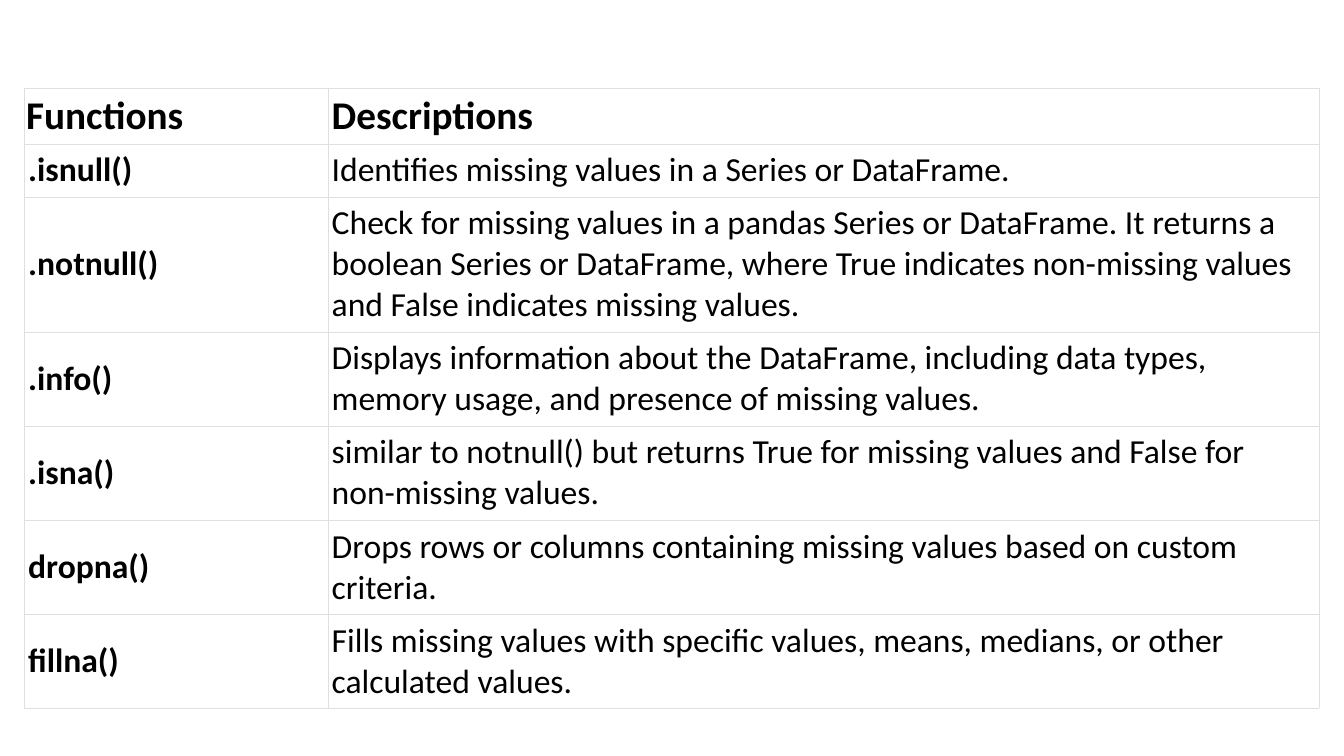
import dataclasses

import lxml.etree
import pptx
import pptx.dml.color
import pptx.enum.text
import pptx.oxml.ns
import pptx.util

PX = 9144  # 100 px to the inch


@dataclasses.dataclass(frozen=True)
class Theme:
    font: str = "Calibri"
    ink: str = "000000"
    paper: str = "FFFFFF"
    rule: str = "DFDFDF"
    rule_pt: float = 0.15
    head_pt: int = 28
    body_pt: int = 24


THEME = Theme()
LEFT, TOP = 24, 87
WIDTHS = [301, 983]
HEIGHTS = [52, 48, 124, 86, 86, 86, 86]
ROWS = [
    ("Functions", "Descriptions"),
    (".isnull()", "Identifies missing values in a Series or DataFrame."),
    (".notnull()", "Check for missing values in a pandas Series or DataFrame. "
     "It returns a boolean Series or DataFrame, where True indicates "
     "non-missing values and False indicates missing values."),
    (".info()", "Displays information about the DataFrame, including data "
     "types, memory usage, and presence of missing values."),
    (".isna()", "similar to notnull() but returns True for missing values "
     "and False for non-missing values."),
    ("dropna()", "Drops rows or columns containing missing values based on "
     "custom criteria."),
    ("fillna()", "Fills missing values with specific values, means, medians, "
     "or other calculated values."),
]


def px(count):
    return pptx.util.Emu(count * PX)


def color(code):
    return pptx.dml.color.RGBColor.from_string(code)


def add_rules(cell):
    """Draw a thin line on all four sides; call before the cell is filled."""
    props = cell._tc.get_or_add_tcPr()
    qn = pptx.oxml.ns.qn
    for side in "LRTB":
        line = lxml.etree.SubElement(props, qn(f"a:ln{side}"))
        line.set("w", str(pptx.util.Pt(THEME.rule_pt)))
        fill = lxml.etree.SubElement(line, qn("a:solidFill"))
        lxml.etree.SubElement(fill, qn("a:srgbClr")).set("val", THEME.rule)


def set_cell(cell, text, size, bold, side, edge):
    """Fill in one cell; side and edge are its margins in px."""
    add_rules(cell)
    cell.fill.solid()
    cell.fill.fore_color.rgb = color(THEME.paper)
    cell.vertical_anchor = pptx.enum.text.MSO_ANCHOR.MIDDLE
    cell.margin_left = cell.margin_right = px(side)
    cell.margin_top = cell.margin_bottom = px(edge)
    cell.text_frame.text = text
    font = cell.text_frame.paragraphs[0].runs[0].font
    font.name = THEME.font
    font.size = pptx.util.Pt(size)
    font.bold = bold
    font.color.rgb = color(THEME.ink)


def add_grid(slide):
    frame = slide.shapes.add_table(
        len(ROWS), len(WIDTHS), px(LEFT), px(TOP),
        px(sum(WIDTHS)), px(sum(HEIGHTS)))
    table = frame.table
    table.horz_banding = False
    for column, width in zip(table.columns, WIDTHS):
        column.width = px(width)
    for r, (texts, height) in enumerate(zip(ROWS, HEIGHTS)):
        table.rows[r].height = px(height)
        head = r == 0
        for c, text in enumerate(texts):
            set_cell(
                table.cell(r, c), text,
                size=THEME.head_pt if head else THEME.body_pt,
                bold=head or c == 0,
                side=2 if head and c == 0 else 4,
                edge=4 if head else 6)


def main():
    deck = pptx.Presentation()
    deck.slide_width, deck.slide_height = px(1333), px(750)
    slide = deck.slides.add_slide(deck.slide_layouts[6])
    slide.background.fill.solid()
    slide.background.fill.fore_color.rgb = color(THEME.paper)
    add_grid(slide)
    deck.save("out.pptx")


if __name__ == "__main__":
    main()
